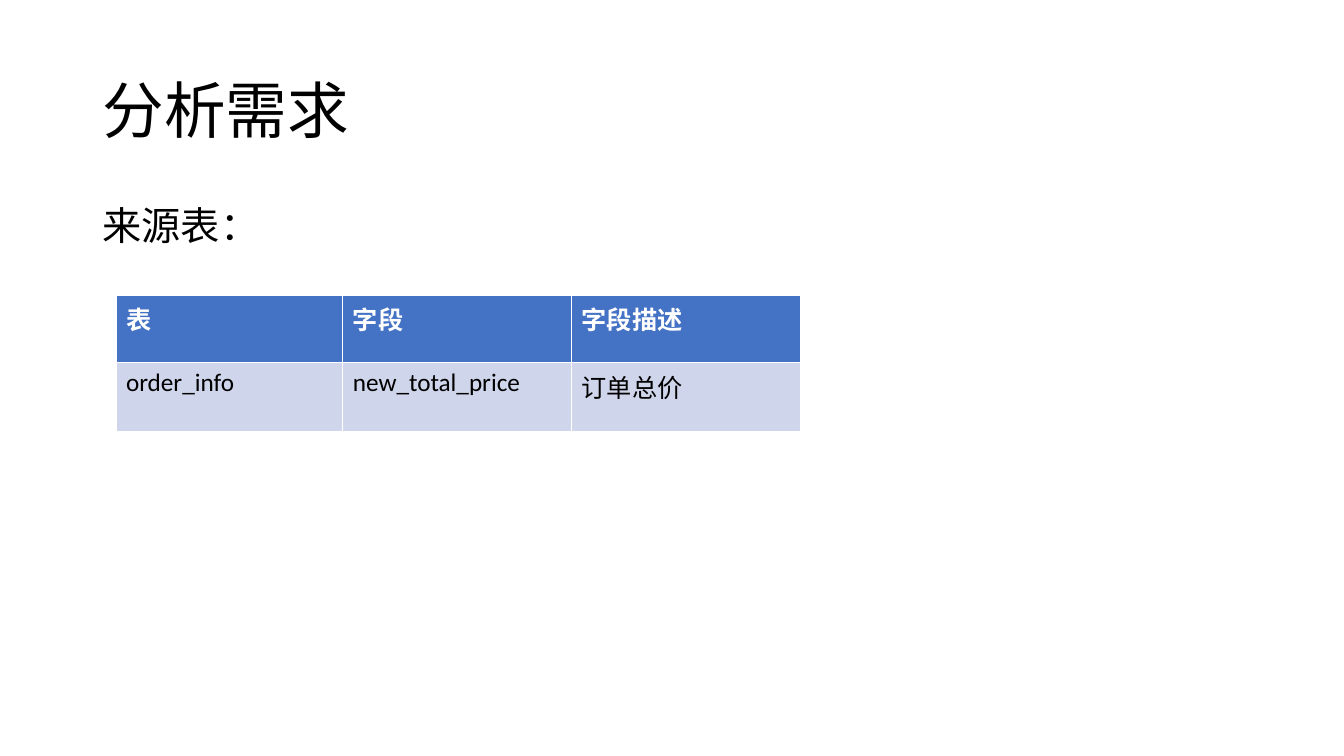
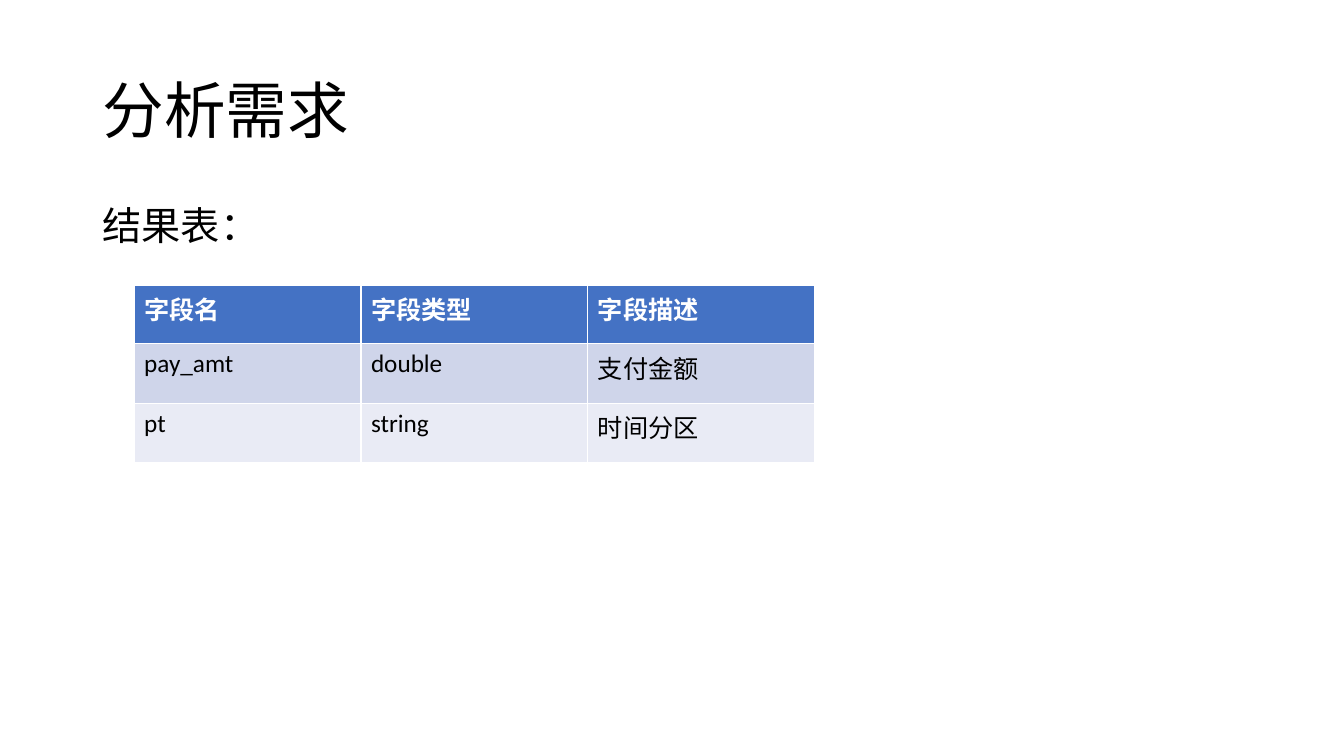
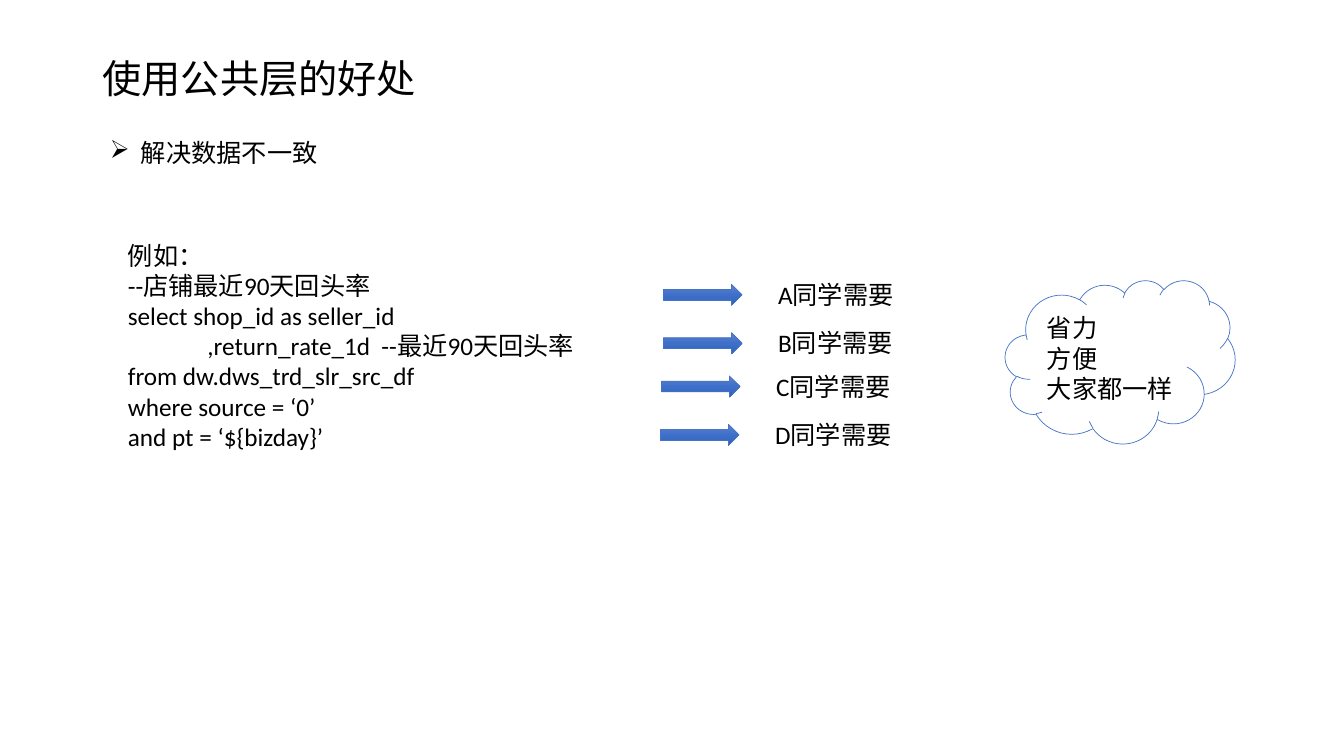
from copy import deepcopy

from lxml import etree
from pptx import Presentation
from pptx.dml.color import RGBColor
from pptx.enum.shapes import MSO_SHAPE
from pptx.enum.text import MSO_ANCHOR, PP_ALIGN
from pptx.oxml.ns import qn
from pptx.util import Inches, Pt

ARROW, CLOUD = MSO_SHAPE.RIGHT_ARROW, MSO_SHAPE.CLOUD
TOP, MIDDLE, LEFT = MSO_ANCHOR.TOP, MSO_ANCHOR.MIDDLE, PP_ALIGN.LEFT
BODY_FONT, HEADING_FONT = "Calibri", "Noto Sans CJK SC"
BLACK, WHITE, BLUE = "000000", "FFFFFF", "4472C4"
ROW_BANDS = ("CFD5EA", "E9EBF5")
ARROW_SHADES = ("6183CB", "3E70CA", "3062BB")


def rgb(code):
    """Turn a hex string into a colour."""
    return RGBColor.from_string(code)


def write(frame, lines, size=18, font=BODY_FONT, color=BLACK, bold=False, spacing=None, bullet=None):
    """Fill a text frame with one left-aligned paragraph per line."""
    for index, line in enumerate(lines):
        paragraph = frame.add_paragraph() if index else frame.paragraphs[0]
        paragraph.text = line
        paragraph.alignment = LEFT
        if spacing:
            paragraph.line_spacing = spacing
        if bullet:
            properties = paragraph._p.get_or_add_pPr()
            properties.set("marL", str(Inches(0.31)))
            properties.set("indent", str(-Inches(0.31)))
            etree.SubElement(properties, qn("a:buChar")).set("char", bullet)
        paragraph.font.size = Pt(size)
        paragraph.font.name = font
        paragraph.font.bold = bold
        paragraph.font.color.rgb = rgb(color)


def add_text(shapes, box, lines, anchor=TOP, **style):
    """Add a wrapping text box."""
    frame = shapes.add_textbox(*map(Inches, box)).text_frame
    frame.word_wrap = True
    frame.vertical_anchor = anchor
    write(frame, lines, **style)


def add_heading(slide, text, size=44, width=11.5, height=1.45):
    """Add the slide title."""
    add_text(slide.shapes, (0.92, 0.4, width, height), [text], MIDDLE,
             size=size, font=HEADING_FONT, spacing=0.9)


def add_outlined(shapes, kind, box):
    """Add a preset shape with a thin blue outline and no shadow."""
    shape = shapes.add_shape(kind, *map(Inches, box))
    shape.shadow.inherit = False
    shape.line.color.rgb = rgb(BLUE)
    shape.line.width = Pt(0.5)
    return shape


def add_field_table(slide, left, top, widths, heights, rows):
    """Add a table with a blue header and banded rows."""
    table = slide.shapes.add_table(len(rows), len(widths), Inches(left), Inches(top),
                                   Inches(sum(widths)), Inches(sum(heights))).table
    for column, width in zip(table.columns, widths):
        column.width = Inches(width)
    for index, (row, height, values) in enumerate(zip(table.rows, heights, rows)):
        row.height = Inches(height)
        header = index == 0
        for cell, value in zip(row.cells, values):
            cell.fill.solid()
            cell.fill.fore_color.rgb = rgb(BLUE if header else ROW_BANDS[(index - 1) % 2])
            write(cell.text_frame, [value], color=WHITE if header else BLACK, bold=header)


def shade(shape):
    """Fill a shape with the three-step downward blue gradient."""
    shape.fill.gradient()
    shape.fill.gradient_angle = 270
    first = shape.fill._xPr.find(qn("a:gradFill")).find(qn("a:gsLst"))[0]
    first.addnext(deepcopy(first))
    for index, (stop, color) in enumerate(zip(shape.fill.gradient_stops, ARROW_SHADES)):
        stop.position = index / 2
        stop.color.rgb = rgb(color)


def add_need(slide, left, top, text):
    """Add a grouped arrow and its label."""
    shapes = slide.shapes.add_group_shape().shapes
    shade(add_outlined(shapes, ARROW, (left, top, 0.78, 0.21)))
    add_text(shapes, (left + 1.04, top - 0.1, 1.46, 0.4), [text])


def add_cloud(slide, box, lines):
    """Add a white cloud holding short lines."""
    cloud = add_outlined(slide.shapes, CLOUD, box)
    cloud.fill.solid()
    cloud.fill.fore_color.rgb = rgb(WHITE)
    cloud.text_frame.word_wrap = False
    cloud.text_frame.vertical_anchor = MIDDLE
    write(cloud.text_frame, lines)


def add_analysis_slide(slide, subtitle, **table):
    """Build a requirement slide with a subtitle and a table."""
    add_heading(slide, "分析需求")
    add_text(slide.shapes, (0.92, 2, 11.5, 4.76), [subtitle],
             size=28, font=HEADING_FONT, spacing=0.9)
    add_field_table(slide, **table)


def add_benefit_slide(slide):
    """Build the slide on the benefits of the common layer."""
    add_heading(slide, "使用公共层的好处", size=28, width=6.1, height=0.8)
    add_text(slide.shapes, (0.99, 1.31, 3.72, 0.4), ["解决数据不一致"], bullet="➢")
    add_text(slide.shapes, (1.17, 2.33, 5.83, 2.22), [
        "例如：",
        "--店铺最近90天回头率",
        "select shop_id as seller_id",
        "              ,return_rate_1d  --最近90天回头率",
        "from dw.dws_trd_slr_src_df",
        "where source = ‘0’",
        "and pt = ‘${bizday}’",
    ])
    places = ((6.58, 2.82), (6.58, 3.3), (6.56, 3.73), (6.55, 4.21))
    for person, (left, top) in zip("ABCD", places):
        add_need(slide, left, top, f"{person}同学需要")
    add_cloud(slide, (9.97, 2.78, 2.28, 1.62), ["省力", "方便", "大家都一样"])


def main():
    """Build and save the presentation."""
    deck = Presentation()
    deck.slide_width, deck.slide_height = Inches(13.33), Inches(7.5)
    source, result, benefit = (deck.slides.add_slide(deck.slide_layouts[6]) for _ in range(3))
    add_analysis_slide(source, "来源表：", left=1.15, top=2.93,
                       widths=(2.25, 2.27, 2.27), heights=(0.67, 0.68),
                       rows=(("表", "字段", "字段描述"),
                             ("order_info", "new_total_price", "订单总价")))
    add_analysis_slide(result, "结果表：", left=1.33, top=2.83,
                       widths=(2.25,) * 3, heights=(0.58, 0.59, 0.59),
                       rows=(("字段名", "字段类型", "字段描述"),
                             ("pay_amt", "double", "支付金额"),
                             ("pt", "string", "时间分区")))
    add_benefit_slide(benefit)
    deck.save("out.pptx")


if __name__ == "__main__":
    main()
